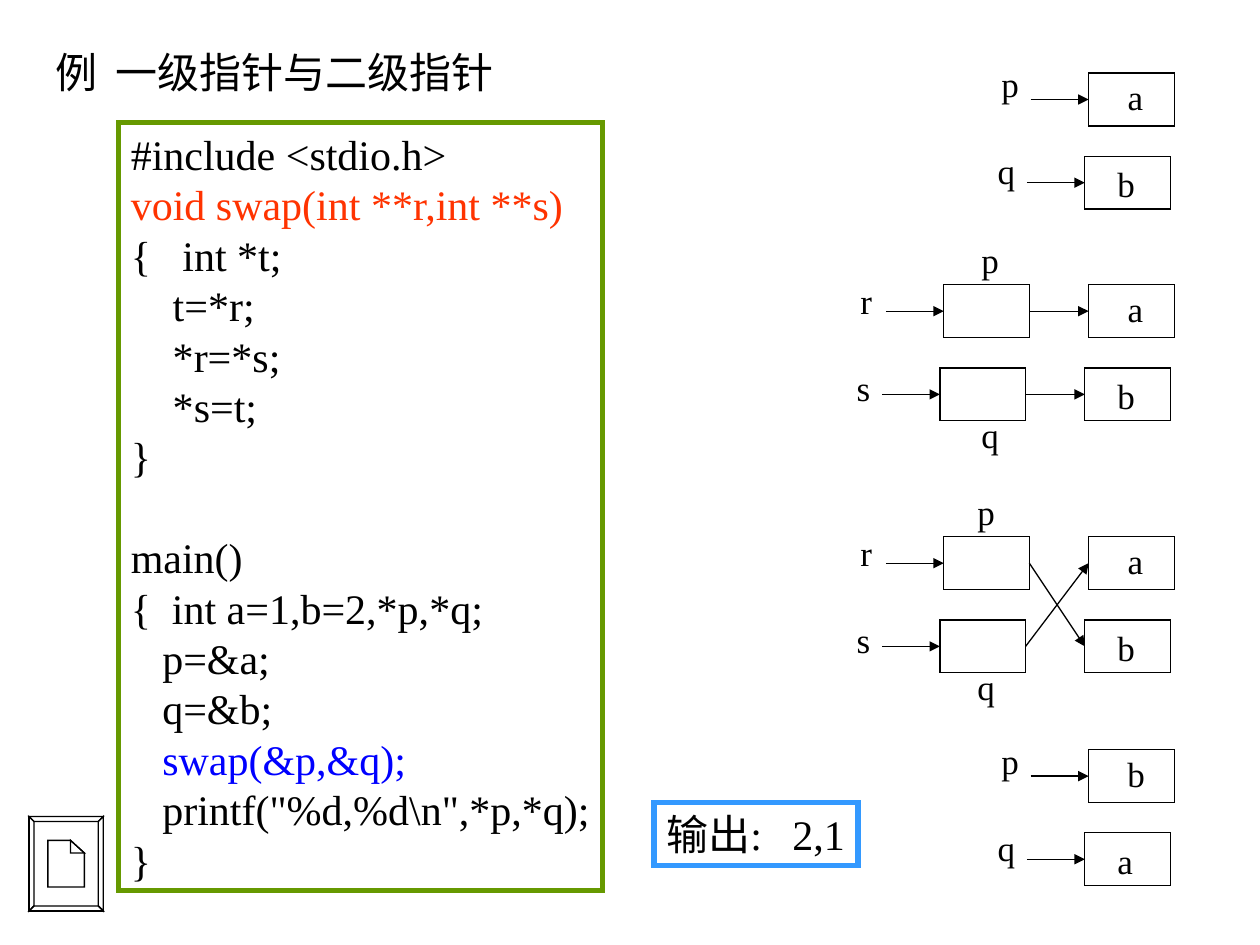
"""Build a slide that compares single and double pointers in C."""
from lxml import etree
from pptx import Presentation
from pptx import util as u
from pptx.dml import color as dml
from pptx.enum import shapes, text
from pptx.oxml import ns

COLORS = {"black": "000000", "white": "FFFFFF", "green": "669900",
          "sky": "3399FF", "red": "FF3300", "blue": "0000FF"}
FONT = "Times New Roman"
CODE = r'''#include <stdio.h>
void swap(int **r,int **s)
{   int *t;
    t=*r;
    *r=*s;
    *s=t;
}
main()
{  int a=1,b=2,*p,*q;
   p=&a;
   q=&b;
   swap(&p,&q);
   printf("%d,%d\n",*p,*q);
}'''
CODE_COLORS = {"void swap(int **r,int **s)": "red", "   swap(&p,&q);": "blue"}
LABEL_WIDTHS = {"a": 0.32, "r": 0.29, "s": 0.31}
BOX_WIDTH, BOX_HEIGHT = 0.68, 0.42
ROW_STEP, ROW_SHIFT = 0.66, -0.03
ARROW_LENGTH = 0.46


def rgb(name):
    """Return the named palette colour."""
    return dml.RGBColor.from_string(COLORS[name])


def style_shape(shape, line, width, fill=None):
    """Give a shape a sharp outline, an optional fill and no shadow."""
    shape.shadow.inherit = False
    shape.line.color.rgb = rgb(line)
    shape.line.width = u.Pt(width)
    etree.SubElement(shape.line._get_or_add_ln(), ns.qn("a:miter"), lim="800000")
    if fill:
        shape.fill.solid()
        shape.fill.fore_color.rgb = rgb(fill)
    else:
        shape.fill.background()


def write_lines(shape, lines, size, anchor=text.MSO_ANCHOR.TOP, tab=None):
    """Write one unwrapped paragraph per line of text."""
    frame = shape.text_frame
    settings = {"word_wrap": False, "vertical_anchor": anchor,
                "auto_size": text.MSO_AUTO_SIZE.SHAPE_TO_FIT_TEXT}
    for name, value in settings.items():
        setattr(frame, name, value)
    for index, line in enumerate(lines):
        para = frame.add_paragraph() if index else frame.paragraphs[0]
        para.alignment = text.PP_ALIGN.LEFT
        if line == "main()":
            para.space_before = u.Pt(28.8)
        if tab:
            stops = etree.SubElement(para._p.get_or_add_pPr(), ns.qn("a:tabLst"))
            etree.SubElement(stops, ns.qn("a:tab"), pos=str(u.Inches(tab)), algn="l")
        span = para.add_run()
        span.text = line
        for name, value in {"name": FONT, "size": u.Pt(size)}.items():
            setattr(span.font, name, value)
        span.font.color.rgb = rgb(CODE_COLORS.get(line, "black"))


def add_box(parent, left, top, width=BOX_WIDTH, height=BOX_HEIGHT,
            line="black", weight=0.75, fill=None):
    """Add an outlined rectangle."""
    box = parent.shapes.add_shape(shapes.MSO_SHAPE.RECTANGLE, u.Inches(left),
                                  u.Inches(top), u.Inches(width), u.Inches(height))
    style_shape(box, line, weight, fill)
    return box


def add_label(parent, left, top, label, width=None, height=0.44, size=20, tab=None):
    """Add a line of free text."""
    width = width or LABEL_WIDTHS.get(label, 0.34)
    box = parent.shapes.add_textbox(u.Inches(left), u.Inches(top),
                                    u.Inches(width), u.Inches(height))
    write_lines(box, [label], size, tab=tab)


def add_arrow(parent, target, source=None):
    """Add an arrow to a box, from another box or from open space on its left."""
    end_y = target.top + target.height // 2
    if source:
        start = source.left + source.width, source.top + source.height // 2
    else:
        start = target.left - u.Inches(ARROW_LENGTH), end_y
    arrow = parent.shapes.add_connector(shapes.MSO_CONNECTOR.STRAIGHT,
                                        *start, target.left, end_y)
    if source:
        arrow.begin_connect(source, 3)
    arrow.end_connect(target, 1)
    arrow.line.color.rgb = rgb("black")
    arrow.line.width = u.Pt(0.75)
    etree.SubElement(arrow.line._get_or_add_ln(), ns.qn("a:tailEnd"), type="triangle")
    etree.SubElement(arrow._element.spPr, ns.qn("a:effectLst"))


def add_values(group, top, values):
    """Add the two variable boxes with their values."""
    boxes = []
    for row, (value, left, lift) in enumerate(zip(values, (8.85, 8.77), (0.03, 0))):
        row_top = top + row * ROW_STEP
        boxes.append(add_box(group, 8.64 + row * ROW_SHIFT, row_top))
        add_label(group, left, row_top - lift, value)
    return boxes


def add_single_pointers(page, top, values):
    """Draw p and q pointing straight at their values."""
    group = page.shapes.add_group_shape()
    for row, (name, box) in enumerate(zip("pq", add_values(group, top, values))):
        add_arrow(group, box)
        add_label(group, 7.85 + row * ROW_SHIFT, top - 0.13 + row * 0.69, name)


def add_double_pointers(page, top, name_left, swapped):
    """Draw r and s pointing at p and q, which point at a and b."""
    group = page.shapes.add_group_shape()
    targets = add_values(group, top, "ab")
    if swapped:
        targets.reverse()
    names = zip("rs", "pq", (-0.42, 0.97), targets)
    for row, (outer, inner, name_offset, target) in enumerate(names):
        shift = row * ROW_SHIFT
        pointer = add_box(group, 7.49 + shift, top + row * ROW_STEP)
        add_arrow(group, pointer)
        add_arrow(group, target, pointer)
        add_label(group, 6.73 + shift, top - 0.09 + row * 0.69, outer)
        add_label(group, name_left, top + name_offset, inner)


def add_document_button(page):
    """Draw a bevelled button with a folded sheet, in hundredths of an inch."""
    left, top, right, bottom, bevel = 23, 648, 82, 723, 4
    outer = [(left, top), (right, top), (right, bottom), (left, bottom)]
    inner = [(left + bevel, top + bevel), (right - bevel, top + bevel),
             (right - bevel, bottom - bevel), (left + bevel, bottom - bevel)]
    sides = [[outer[i], outer[(i + 1) % 4], inner[(i + 1) % 4], inner[i]]
             for i in range(4)]
    sheet = [(38, 667), (56, 667), (67, 677), (67, 704), (38, 704)]
    fold = [(56, 667), (67, 677), (56, 677)]
    builder = page.shapes.build_freeform(*outer[0], scale=u.Inches(0.01))
    builder.add_line_segments(outer[1:], close=True)
    for outline in [*sides, sheet, fold]:
        builder.move_to(*outline[0])
        builder.add_line_segments(outline[1:], close=True)
    style_shape(builder.convert_to_shape(), "black", 0.75, "white")


def main():
    """Build and save the slide."""
    deck = Presentation()
    deck.slide_width, deck.slide_height = u.Inches(10), u.Inches(7.5)
    page = deck.slides.add_slide(deck.slide_layouts[6])
    add_document_button(page)
    add_label(page, 0.34, 0.32, "例\t一级指针与二级指针", 3.68, 0.5, 24, tab=0.48)
    code = add_box(page, 0.94, 0.97, 3.84, 6.1, "green", 3, "white")
    write_lines(code, CODE.splitlines(), 24, text.MSO_ANCHOR.MIDDLE)
    add_single_pointers(page, 0.58, "ab")
    add_double_pointers(page, 2.26, 7.69, swapped=False)
    add_double_pointers(page, 4.26, 7.66, swapped=True)
    add_single_pointers(page, 5.95, "ba")
    output = add_box(page, 5.19, 6.37, 1.62, 0.5, "sky", 3)
    write_lines(output, ["输出:\t2,1"], 24, tab=1)
    deck.save("out.pptx")


if __name__ == "__main__":
    main()
